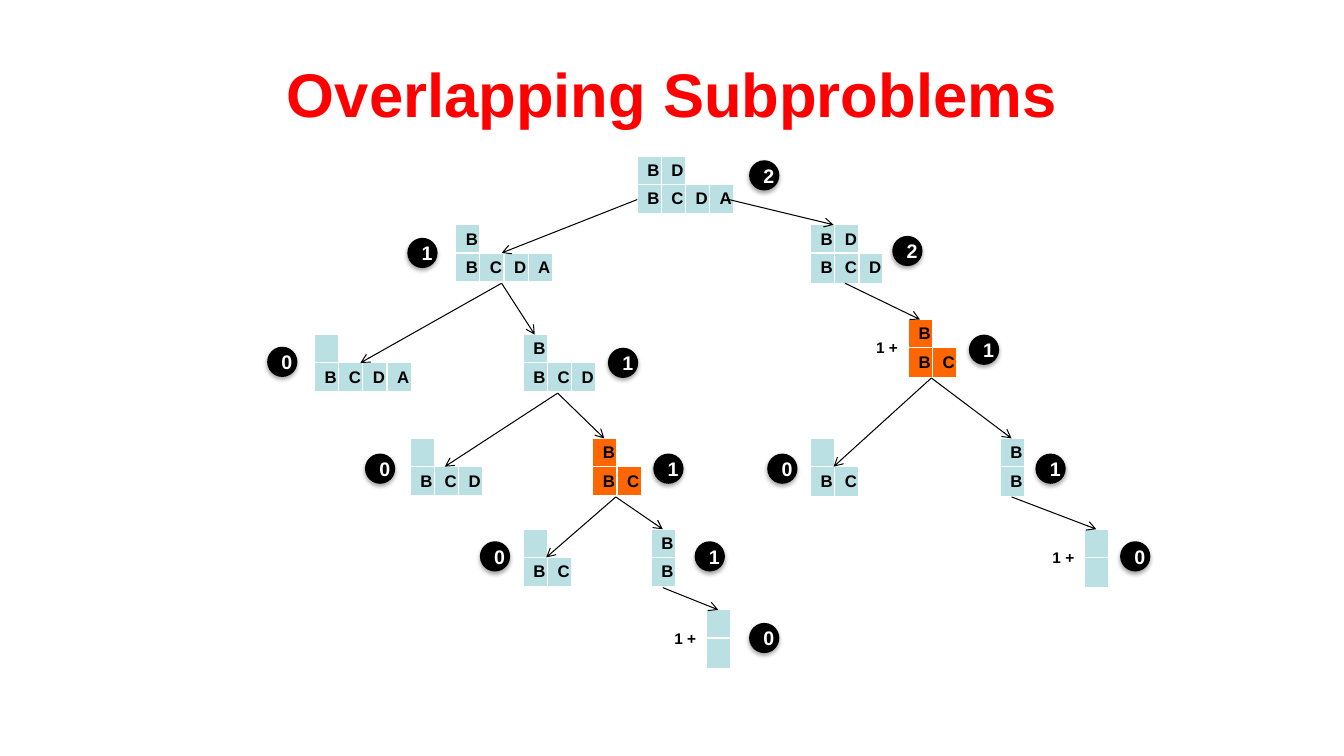
from dataclasses import dataclass

from lxml import etree
from pptx import Presentation
from pptx.dml.color import RGBColor
from pptx.enum import shapes, text
from pptx.oxml import ns, parse_xml
from pptx.util import Inches, Pt

BLACK = RGBColor(0x00, 0x00, 0x00)
WHITE = RGBColor(0xFF, 0xFF, 0xFF)
RED = RGBColor(0xFF, 0x00, 0x00)
PALE_BLUE = RGBColor(0xBB, 0xE0, 0xE3)
ORANGE = RGBColor(0xFF, 0x66, 0x00)

FONT = "Arial"
CELL_WIDTH = 0.2275
ROW_HEIGHT = 0.25
FRAME_HEIGHT = 0.3
ROW_STEP = 0.28
NODE_HEIGHT = ROW_STEP + FRAME_HEIGHT
BADGE_SIZE = 0.3
CELL_TEXT_SIZE = 12


@dataclass(frozen=True)
class Node:
    """A subproblem: two strings, its result badge and its place in the tree."""
    left: float
    top: float
    first: str  # a space stands for the empty string
    second: str
    result: str
    badge_left: float
    badge_top: float
    parent: str = ""
    is_left_child: bool = False
    adds_one: bool = False
    fill: RGBColor = PALE_BLUE

    @property
    def second_top(self) -> float:
        return self.top + ROW_STEP

    @property
    def bottom(self) -> tuple[float, float]:
        return self.left + len(self.second) * CELL_WIDTH / 2, self.top + NODE_HEIGHT

    @property
    def entry(self) -> tuple[float, float]:
        """Left children are entered at the second row, right ones at the first."""
        if self.is_left_child:
            return self.bottom[0], self.second_top
        return self.left + len(self.first) * CELL_WIDTH / 2, self.top


NODES = {
    "root": Node(6.32, 1.55, "BD", "BCDA", "2", 7.43, 1.59),
    # Left half
    "L": Node(4.52, 2.23, "B", "BCDA", "1", 4.04, 2.36, "root", True),
    "LL": Node(3.12, 3.32, " ", "BCDA", "0", 2.65, 3.44, "L", True),
    "LR": Node(5.19, 3.32, "B", "BCD", "1", 6.03, 3.45, "L"),
    "LRL": Node(4.07, 4.35, " ", "BCD", "0", 3.62, 4.5, "LR", True),
    "LRR": Node(5.88, 4.35, "B", "BC", "1", 6.48, 4.5, "LR", fill=ORANGE),
    "LRRL": Node(5.19, 5.25, " ", "BC", "0", 4.76, 5.37, "LRR", True),
    "LRRR": Node(6.46, 5.25, "B", "B", "1", 6.89, 5.37, "LRR"),
    "LRRRR": Node(7.01, 6.05, " ", " ", "0", 7.43, 6.18, "LRRR", adds_one=True),
    # Right half
    "R": Node(8.04, 2.23, "BD", "BCD", "2", 8.85, 2.34, "root"),
    "RR": Node(9.01, 3.17, "B", "BC", "1", 9.61, 3.32, "R", adds_one=True, fill=ORANGE),
    "RRL": Node(8.04, 4.35, " ", "BC", "0", 7.61, 4.5, "RR", True),
    "RRR": Node(9.92, 4.35, "B", "B", "1", 10.27, 4.5, "RR"),
    "RRRR": Node(10.76, 5.25, " ", " ", "0", 11.11, 5.37, "RRR", adds_one=True),
}


def write_text(frame, content: str, *, size: float, color: RGBColor = BLACK,
               align=text.PP_ALIGN.CENTER) -> None:
    paragraph = frame.paragraphs[0]
    paragraph.alignment = align
    run = paragraph.add_run()
    run.text = content
    run.font.name = FONT
    run.font.size = Pt(size)
    run.font.bold = True
    run.font.color.rgb = color


def add_string(slide, content: str, left: float, top: float, fill: RGBColor) -> None:
    """Draw a string as a one-row table with a letter in each cell."""
    count = len(content)
    table = slide.shapes.add_table(
        1, count, Inches(left), Inches(top),
        Inches(count * CELL_WIDTH), Inches(FRAME_HEIGHT)).table
    table.rows[0].height = Inches(ROW_HEIGHT)
    for column, letter in enumerate(content):
        table.columns[column].width = Inches(CELL_WIDTH)
        cell = table.cell(0, column)
        cell.fill.solid()
        cell.fill.fore_color.rgb = fill
        if letter.strip():
            write_text(cell.text_frame, letter, size=CELL_TEXT_SIZE)
        else:  # keep an empty cell as low as a filled one
            etree.SubElement(cell.text_frame.paragraphs[0]._p, ns.qn("a:endParaRPr"),
                             sz=str(CELL_TEXT_SIZE * 100))


def add_one_label(slide, node: Node) -> None:
    box = slide.shapes.add_textbox(Inches(node.left - 0.42), Inches(node.top + 0.14),
                                   Inches(0.42), Inches(0.29))
    box.text_frame.word_wrap = False
    box.text_frame.auto_size = text.MSO_AUTO_SIZE.SHAPE_TO_FIT_TEXT
    write_text(box.text_frame, "1 +", size=11, align=text.PP_ALIGN.LEFT)


def add_arrow(slide, start: tuple[float, float], end: tuple[float, float]) -> None:
    arrow = slide.shapes.add_connector(
        shapes.MSO_CONNECTOR.STRAIGHT, *map(Inches, start + end))
    arrow.line.color.rgb = BLACK
    arrow.line.width = Pt(0.75)
    etree.SubElement(arrow.line._get_or_add_ln(), ns.qn("a:tailEnd"), type="arrow")
    etree.SubElement(arrow._element.spPr, ns.qn("a:effectLst"))


def add_badge(slide, node: Node) -> None:
    badge = slide.shapes.add_shape(
        shapes.MSO_SHAPE.FLOWCHART_CONNECTOR, Inches(node.badge_left),
        Inches(node.badge_top), Inches(BADGE_SIZE), Inches(BADGE_SIZE))
    badge.fill.solid()
    badge.fill.fore_color.rgb = BLACK
    badge.line.fill.background()
    badge.shadow.inherit = False
    effects = badge._element.spPr.find(ns.qn("a:effectLst"))
    effects.append(parse_xml(
        f'<a:outerShdw {ns.nsdecls("a")} blurRad="{Pt(3.1)}" dist="{Pt(1.8)}" '
        f'dir="5400000" rotWithShape="0"><a:srgbClr val="{BLACK}">'
        '<a:alpha val="35000"/></a:srgbClr></a:outerShdw>'))
    badge.text_frame.vertical_anchor = text.MSO_ANCHOR.MIDDLE
    write_text(badge.text_frame, node.result, size=14, color=WHITE)


def main() -> None:
    presentation = Presentation()
    presentation.slide_width = Inches(13.33)
    presentation.slide_height = Inches(7.5)
    slide = presentation.slides.add_slide(presentation.slide_layouts[5])

    # Title
    title = slide.shapes.title
    title.left, title.top = Inches(0.67), Inches(0.3)
    title.width, title.height = Inches(12), Inches(1.25)
    title.text_frame.vertical_anchor = text.MSO_ANCHOR.MIDDLE
    write_text(title.text_frame, "Overlapping Subproblems", size=44, color=RED)

    # Subproblems
    for node in NODES.values():
        add_string(slide, node.first, node.left, node.top, node.fill)
        add_string(slide, node.second, node.left, node.second_top, node.fill)
        if node.adds_one:
            add_one_label(slide, node)

    # Arrows: the root is left at its sides, every other node at its bottom
    for node in NODES.values():
        if node.parent == "root":
            root = NODES["root"]
            side = 0 if node.is_left_child else len(root.second) * CELL_WIDTH
            add_arrow(slide, (root.left + side, root.second_top + FRAME_HEIGHT / 2), node.entry)
        elif node.parent:
            add_arrow(slide, NODES[node.parent].bottom, node.entry)

    # Results
    for node in NODES.values():
        add_badge(slide, node)

    presentation.save("out.pptx")


if __name__ == "__main__":
    main()
